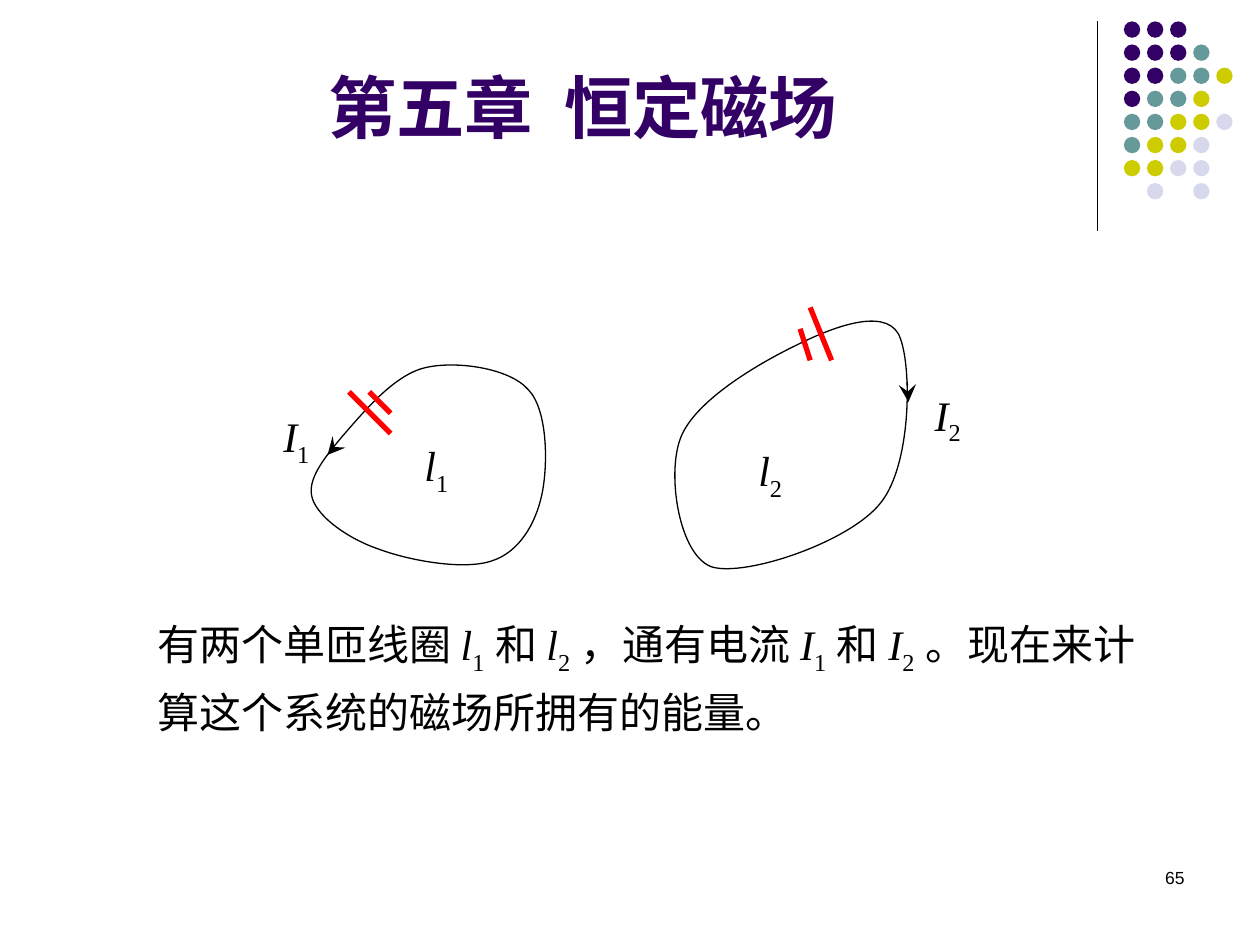
from dataclasses import dataclass

from lxml import etree
from pptx import Presentation
from pptx.dml.color import RGBColor
from pptx.enum.lang import MSO_LANGUAGE_ID
from pptx.enum.shapes import MSO_CONNECTOR, MSO_SHAPE
from pptx.enum.text import MSO_ANCHOR, MSO_AUTO_SIZE, PP_ALIGN
from pptx.oxml.ns import qn
from pptx.util import Inches, Pt

STRAIGHT = MSO_CONNECTOR.STRAIGHT
OVAL = MSO_SHAPE.OVAL
MIDDLE = MSO_ANCHOR.MIDDLE
FIT_SHAPE = MSO_AUTO_SIZE.SHAPE_TO_FIT_TEXT
LEFT, CENTER, RIGHT = PP_ALIGN.LEFT, PP_ALIGN.CENTER, PP_ALIGN.RIGHT
CHINESE = MSO_LANGUAGE_ID.SIMPLIFIED_CHINESE
TITLE_ONLY = 5


@dataclass(frozen=True)
class Theme:
    ink: str = "000000"
    purple: str = "330066"
    teal: str = "669999"
    olive: str = "CCCC00"
    lavender: str = "D8D8EC"
    red: str = "FF0000"
    title_font: str = "Cambria"
    body_font: str = "Times New Roman"
    number_font: str = "Arial"
    title_size: int = 39
    body_size: int = 24
    number_size: int = 10
    thin: float = 0.75
    thick: float = 3


class SlideWriter:
    """Draws styled elements on the current slide."""

    def __init__(self, slide, theme):
        self.slide = slide
        self.theme = theme

    def style_run(self, run, font, size, color):
        run.font.name = font
        run.font.size = Pt(size)
        run.font.color.rgb = RGBColor.from_string(color)
        run.font.language_id = CHINESE

    def title(self, text, box):
        heading = self.slide.shapes.title
        heading.left, heading.top, heading.width, heading.height = map(Inches, box)
        frame = heading.text_frame
        frame.text = text
        frame.vertical_anchor = MIDDLE
        frame.paragraphs[0].alignment = CENTER
        run = frame.paragraphs[0].runs[0]
        self.style_run(run, self.theme.title_font, self.theme.title_size, self.theme.purple)
        run.font.bold = True

    def text_frame(self, box):
        frame = self.slide.shapes.add_textbox(*map(Inches, box)).text_frame
        frame.word_wrap = True
        return frame

    def page_number(self, text, box):
        paragraph = self.text_frame(box).paragraphs[0]
        paragraph.text = text
        paragraph.alignment = RIGHT
        self.style_run(paragraph.runs[0], self.theme.number_font,
                       self.theme.number_size, self.theme.ink)

    def math_text(self, pieces, box, line_spacing=1.0):
        """Writes pieces that alternate between plain words and indexed symbols."""
        frame = self.text_frame(box)
        frame.auto_size = FIT_SHAPE
        paragraph = frame.paragraphs[0]
        paragraph.alignment = LEFT
        paragraph.line_spacing = line_spacing
        for position, piece in enumerate(pieces):
            is_symbol = position % 2 == 1
            for part in piece if is_symbol else filter(None, [piece]):
                run = paragraph.add_run()
                run.text = part
                self.style_run(run, self.theme.body_font, self.theme.body_size, self.theme.ink)
                run.font.italic = is_symbol and part.isalpha()
                if is_symbol and part.isdigit():
                    run.font._element.set("baseline", "-25000")

    def line(self, start, end, color, width, arrow=False):
        connector = self.slide.shapes.add_connector(STRAIGHT, *map(Inches, start + end))
        connector.line.color.rgb = RGBColor.from_string(color)
        connector.line.width = Pt(width)
        properties = connector._element.spPr
        if arrow:
            etree.SubElement(properties.find(qn("a:ln")), qn("a:tailEnd"),
                             type="stealth", w="lg", len="lg")
        etree.SubElement(properties, qn("a:effectLst"))

    def dot(self, left, top, size, color):
        dot = self.slide.shapes.add_shape(OVAL, *map(Inches, (left, top, size, size)))
        dot.shadow.inherit = False
        dot.fill.solid()
        dot.fill.fore_color.rgb = RGBColor.from_string(color)
        dot.line.fill.background()

    def closed_curve(self, points):
        """Draws a loop from a start point and three Bezier points per segment."""
        start, *bezier_points = [(Inches(x), Inches(y)) for x, y in points]
        builder = self.slide.shapes.build_freeform(*start)
        builder.add_line_segments(bezier_points, close=True)
        loop = builder.convert_to_shape()
        loop.shadow.inherit = False
        loop.fill.background()
        loop.line.color.rgb = RGBColor.from_string(self.theme.ink)
        loop.line.width = Pt(self.theme.thin)
        segments = list(loop._element.iter(qn("a:lnTo")))
        for first in range(0, len(bezier_points), 3):
            curve = etree.Element(qn("a:cubicBezTo"))
            segments[first].addprevious(curve)
            for segment in segments[first:first + 3]:
                curve.append(segment[0])
                segment.getparent().remove(segment)


DOT_ROWS = ["PPP", "PPPT", "PPTTO", "PTTO", "TTOOL", "TOOL", "OOLL", " L L"]
DOT_PITCH = 0.55 / 3

COIL_1 = [(2.72, 3.46),
          (2.87, 3.29), (3.12, 2.98), (3.37, 2.92),
          (3.61, 2.86), (4.04, 2.92), (4.19, 3.09),
          (4.35, 3.25), (4.35, 3.7), (4.3, 3.93),
          (4.25, 4.16), (4.12, 4.38), (3.91, 4.45),
          (3.69, 4.53), (3.25, 4.45), (3.01, 4.36),
          (2.77, 4.28), (2.53, 4.11), (2.48, 3.96),
          (2.43, 3.81), (2.57, 3.64), (2.72, 3.46)]
COIL_2 = [(6.32, 2.74),
          (6.03, 2.88), (5.51, 3.18), (5.4, 3.48),
          (5.29, 3.77), (5.39, 4.41), (5.65, 4.5),
          (5.92, 4.58), (6.75, 4.3), (6.99, 3.99),
          (7.24, 3.68), (7.24, 2.86), (7.13, 2.65),
          (7.01, 2.44), (6.6, 2.6), (6.32, 2.74)]
CURRENT_ARROWS = [((7.2, 3.03), (7.21, 3.19)), ((2.68, 3.52), (2.6, 3.61))]
CUT_MARKS = [((2.77, 3.11), (3.1, 3.44)), ((2.93, 3.11), (3.1, 3.28)),
             ((6.43, 2.44), (6.6, 2.86)), ((6.35, 2.61), (6.43, 2.86))]
SYMBOLS = {"I2": (7.32, 3.04, 0.53, 0.57), "l2": (5.92, 3.48, 0.61, 0.57),
           "I1": (2.15, 3.21, 0.53, 0.57), "l1": (3.27, 3.44, 0.78, 0.57)}
STATEMENT = ["有两个单匝线圈 ", "l1", " 和 ", "l2", " ，通有电流 ", "I1", " 和 ", "I2",
             " 。现在来计算这个系统的磁场所拥有的能量。"]


def main():
    theme = Theme()
    deck = Presentation()
    deck.slide_width, deck.slide_height = Inches(10), Inches(7.5)
    writer = SlideWriter(deck.slides.add_slide(deck.slide_layouts[TITLE_ONLY]), theme)

    writer.line((8.71, 0.17), (8.71, 1.83), theme.ink, theme.thin)
    dot_colors = {"P": theme.purple, "T": theme.teal, "O": theme.olive, "L": theme.lavender}
    for row, codes in enumerate(DOT_ROWS):
        for column, code in enumerate(codes):
            if code in dot_colors:
                writer.dot(8.92 + column * DOT_PITCH, 0.17 + row * DOT_PITCH,
                           0.13, dot_colors[code])

    writer.title("第五章  恒定磁场", (0.5, 0.13, 8.25, 1.42))
    writer.page_number("65", (7.17, 6.83, 2.33, 0.5))
    writer.math_text(STATEMENT, (1.15, 4.77, 8.19, 1.02), line_spacing=1.2)

    for coil in (COIL_2, COIL_1):
        writer.closed_curve(coil)
    for symbol, box in SYMBOLS.items():
        writer.math_text(["", symbol], box)
    for start, end in CURRENT_ARROWS:
        writer.line(start, end, theme.ink, theme.thin, arrow=True)
    for start, end in CUT_MARKS:
        writer.line(start, end, theme.red, theme.thick)

    deck.save("out.pptx")


if __name__ == "__main__":
    main()
